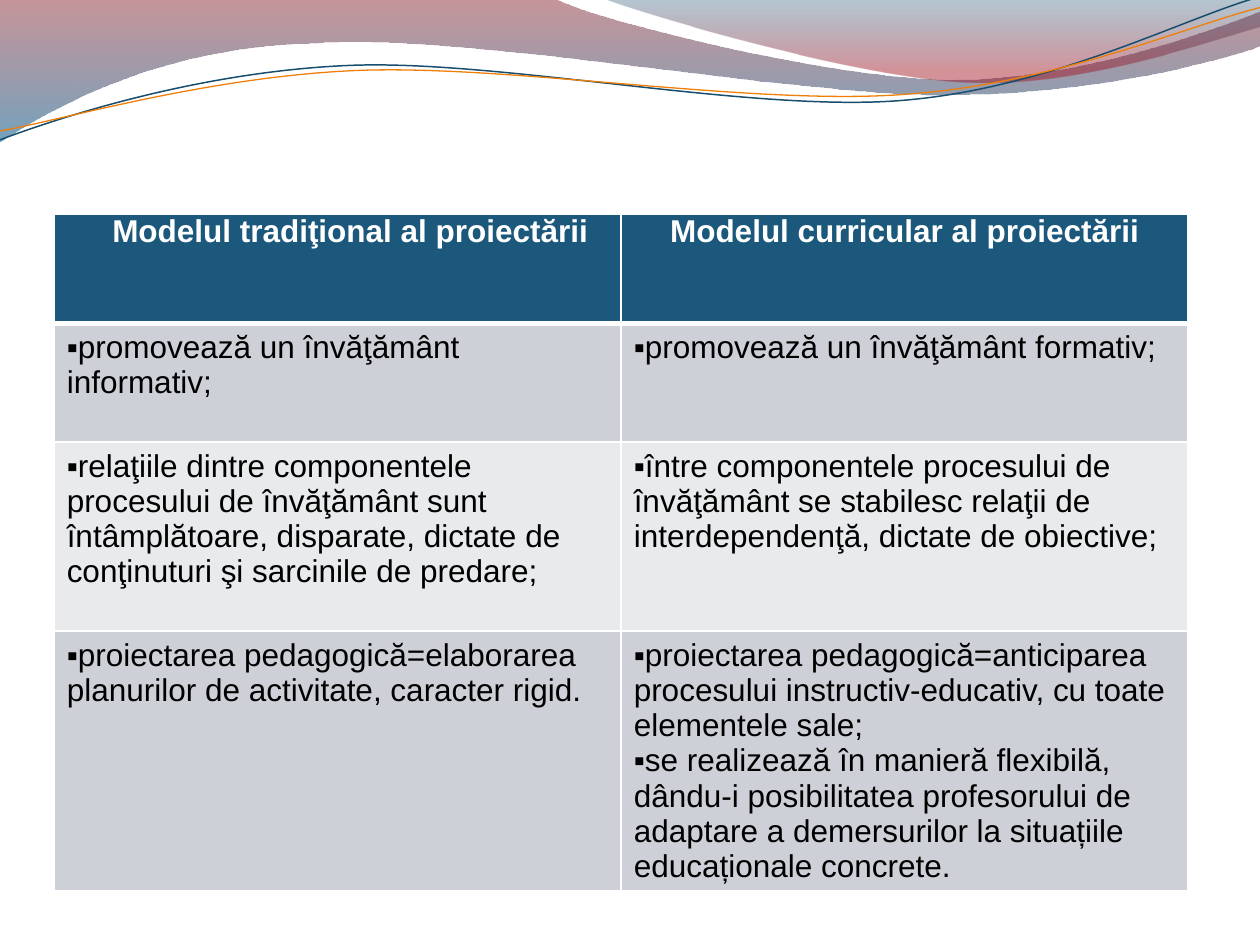
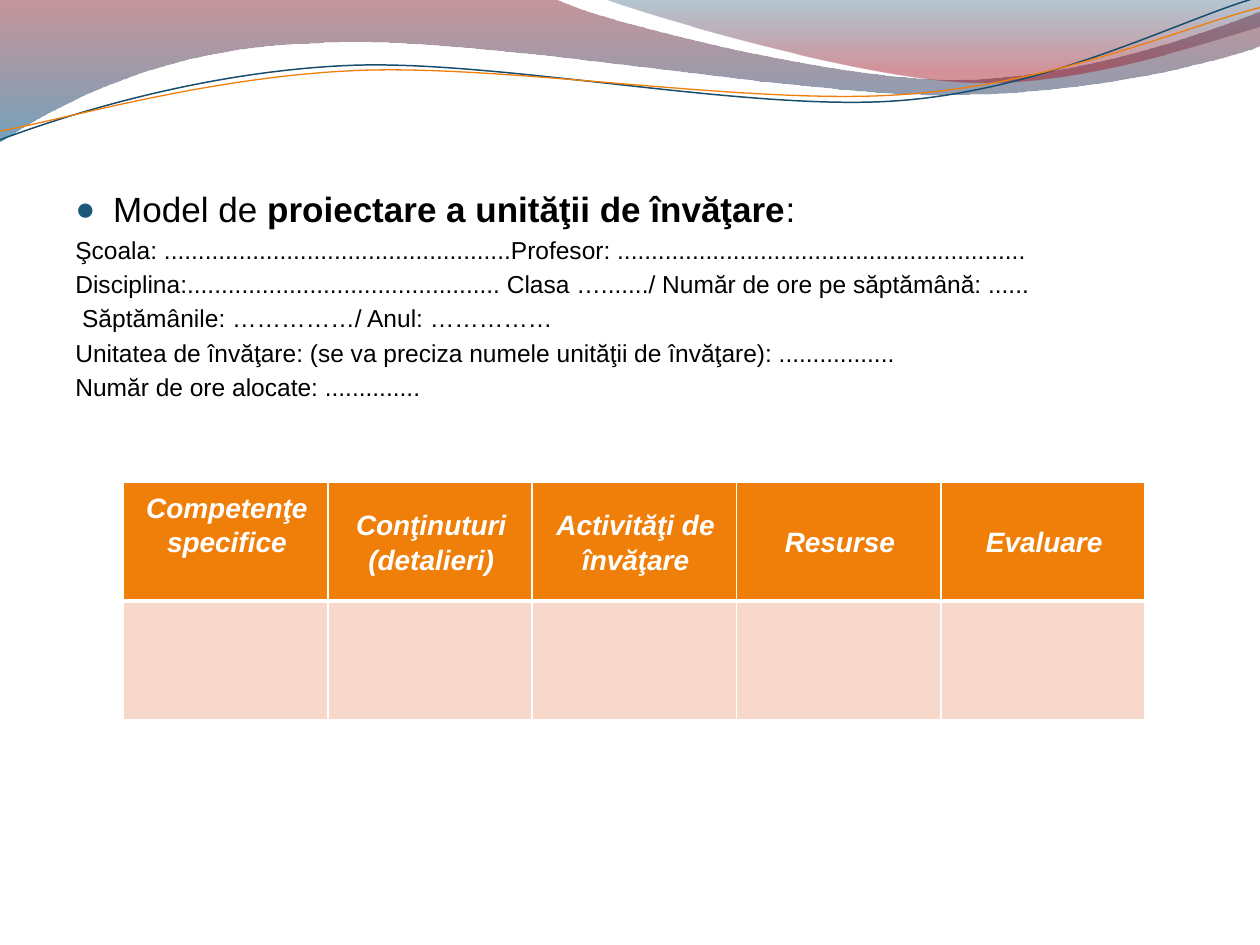
"""Builds two slides on lesson planning under a shared band of waves."""
from dataclasses import dataclass
from typing import Optional

from lxml.etree import SubElement
from pptx import Presentation
from pptx.dml.color import RGBColor
from pptx.enum.text import MSO_ANCHOR as Anchor, PP_ALIGN as Align
from pptx.oxml import parse_xml
from pptx.oxml.ns import nsdecls, qn
from pptx.util import Inches, Pt

Point = tuple[float, float]


@dataclass(frozen=True)
class Theme:
    """Colours, font and type sizes of the deck."""
    font: str = "Arial"
    white: str = "FFFFFF"
    black: str = "000000"
    navy: str = "1B587C"
    wave_navy: str = "184E6D"
    orange: str = "F07F09"
    band_dark: str = "CDD1D7"
    band_light: str = "E8EAEC"
    peach: str = "F9D8CC"
    lead: float = 20
    table: float = 18
    heading: float = 16
    body: float = 14


@dataclass(frozen=True)
class Stop:
    """A gradient stop; position and opacity are percentages."""
    position: int
    color: str
    opacity: int


@dataclass(frozen=True)
class Wave:
    """An outline whose steps hold one point (line) or three (curve)."""
    start: Point
    steps: tuple[tuple[Point, ...], ...]
    stops: tuple[Stop, ...] = ()
    line: Optional[str] = None
    weight: float = 0


@dataclass(frozen=True)
class Grid:
    """Place and sizes of a table, in inches."""
    left: float
    top: float
    width: float
    columns: int
    rows: tuple[float, ...]


@dataclass(frozen=True)
class CellStyle:
    """Look of a table cell; margins run left, top, right, bottom."""
    fill: str
    color: str
    size: float
    bold: bool = False
    italic: bool = False
    align: Align = Align.LEFT
    anchor: Anchor = Anchor.TOP
    margins: tuple[float, ...] = (0.1, 0.05, 0.1, 0.05)
    spacing: float = 1.0
    bullet: Optional[str] = None
    bottom: float = 1


THEME = Theme()

WAVES = (
    Wave((0, 0), (
        ((4.4, -0.01),),
        ((4.76, 0.17), (6.64, 0.63), (7.58, 0.63)),
        ((8.53, 0.63), (9.58, 0.26), (10, 0.09)),
        ((10.01, 0.36),),
        ((9.83, 0.44), (8.7, 0.76), (7.46, 0.75)),
        ((6.22, 0.75), (3.82, 0.28), (2.57, 0.34)),
        ((1.29, 0.36), (0.46, 0.83), (-0.01, 1.13)),
    ), stops=(Stop(0, "7E1621", 45), Stop(100, "005689", 55))),
    Wave((4.79, -0.01), (
        ((5.09, 0.11), (6.82, 0.62), (7.69, 0.65)),
        ((8.56, 0.69), (9.61, 0.32), (10, 0.21)),
        ((10, 0),),
    ), stops=(Stop(0, "094467", 30), Stop(80, "A10F1F", 45))),
    Wave((0, 1.11), (
        ((0.48, 0.93), (1.58, 0.57), (2.77, 0.52)),
        ((3.95, 0.47), (5.93, 0.89), (7.13, 0.8)),
        ((8.33, 0.71), (9.38, 0.15), (9.98, -0.02)),
    ), line=THEME.wave_navy, weight=0.85),
    Wave((0, 1.04), (
        ((0.47, 0.96), (1.64, 0.61), (2.83, 0.56)),
        ((4.03, 0.51), (5.97, 0.84), (7.17, 0.75)),
        ((8.36, 0.67), (9.41, 0.21), (10, 0.06)),
    ), line=THEME.orange, weight=0.75),
)

MODELS = (
    ("Modelul tradiţional al proiectării", "Modelul curricular al proiectării"),
    ("promovează un învăţământ informativ;", "promovează un învăţământ formativ;"),
    ("relaţiile dintre componentele procesului de învăţământ sunt întâmplătoare, "
     "disparate, dictate de conţinuturi şi sarcinile de predare;",
     "între componentele procesului de învăţământ se stabilesc relaţii de "
     "interdependenţă, dictate de obiective;"),
    ("proiectarea pedagogică=elaborarea planurilor de activitate, caracter rigid.",
     "proiectarea pedagogică=anticiparea procesului instructiv-educativ, cu toate "
     "elementele sale;\nse realizează în manieră flexibilă, dându-i posibilitatea "
     "profesorului de adaptare a demersurilor la situațiile educaționale concrete."),
)

LEAD = ("Model de ", "proiectare a unităţii de învăţare", ":")
FORM_LINES = (
    "Şcoala: " + "." * 51 + "Profesor: " + "." * 60,
    "Disciplina:" + "." * 46 + " Clasa …......./ Număr de ore pe săptămână: ......",
    " Săptămânile: ……………/ Anul: ……………",
    "Unitatea de învăţare: (se va preciza numele unităţii de învăţare): " + "." * 17,
    "Număr de ore alocate: " + "." * 14,
)
UNIT_HEADINGS = ("Competenţe specifice", "Conţinuturi\n(detalieri)",
                 "Activităţi de învăţare", "Resurse", "Evaluare")


def bend(shape, wave: Wave) -> None:
    """Turn each three-point step of an outline into one cubic curve."""
    segments = iter(list(shape._element.iter(qn("a:lnTo"))))
    for step in wave.steps:
        first, *others = [next(segments) for _ in step]
        if others:
            first.tag = qn("a:cubicBezTo")
            for segment in others:
                first.append(segment[0])
                segment.getparent().remove(segment)


def add_wave(page, wave: Wave):
    """Draw one wave as a gradient area or as an open line."""
    points = [wave.start] + [point for step in wave.steps for point in step]
    corners = [(Inches(x), Inches(y)) for x, y in points]
    builder = page.shapes.build_freeform(*corners[0])
    builder.add_line_segments(corners[1:], close=False)
    shape = builder.convert_to_shape()
    bend(shape, wave)
    shape.shadow.inherit = False
    shape.fill.background()
    if wave.line:
        shape.line.color.rgb = RGBColor.from_string(wave.line)
        shape.line.width = Pt(wave.weight)
        return shape
    outline = next(shape._element.iter(qn("a:path")))
    SubElement(outline, qn("a:close"))
    shape.line.fill.background()
    stops = "".join(
        f'<a:gs pos="{stop.position * 1000}"><a:srgbClr val="{stop.color}">'
        f'<a:alpha val="{stop.opacity * 1000}"/></a:srgbClr></a:gs>' for stop in wave.stops)
    gradient = parse_xml(f'<a:gradFill {nsdecls("a")} rotWithShape="1"><a:gsLst>{stops}'
                         '</a:gsLst><a:lin ang="5400000" scaled="0"/></a:gradFill>')
    properties = shape._element.spPr
    properties.replace(properties.find(qn("a:noFill")), gradient)
    return shape


def add_page(deck):
    """Add a blank slide."""
    return deck.slides.add_slide(deck.slide_layouts[6])


def share_waves(page) -> None:
    """Draw the waves and hand them to the layout of the page."""
    for wave in WAVES:
        shape = add_wave(page, wave)
        page.slide_layout.shapes._spTree.append(shape._element)


def format_span(span, size: float, color: str, bold: bool = False,
                italic: bool = False) -> None:
    """Set the font of a run."""
    font = span.font
    font.name, font.size = THEME.font, Pt(size)
    font.bold, font.italic = bold, italic
    font.color.rgb = RGBColor.from_string(color)


def set_indent(para, left: float, first: float = 0) -> None:
    """Set the left margin and first-line indent of a paragraph."""
    properties = para._p.get_or_add_pPr()
    properties.set("marL", str(Inches(left)))
    properties.set("indent", str(Inches(first)))


def set_bullet(para, mark: str, color: Optional[str] = None, percent: int = 100) -> None:
    """Give a paragraph a bullet."""
    properties = para._p.get_or_add_pPr()
    if color:
        SubElement(SubElement(properties, qn("a:buClr")), qn("a:srgbClr")).set("val", color)
    SubElement(properties, qn("a:buSzPct")).set("val", str(percent * 1000))
    SubElement(properties, qn("a:buFont")).set("typeface", THEME.font)
    SubElement(properties, qn("a:buChar")).set("char", mark)


def set_borders(cell, bottom: float) -> None:
    """Draw white cell borders, the lower one at its own width."""
    properties = cell._tc.get_or_add_tcPr()
    for side, width in (("L", 1), ("R", 1), ("T", 1), ("B", bottom)):
        properties.append(parse_xml(
            f'<a:ln{side} {nsdecls("a")} w="{Pt(width)}"><a:solidFill>'
            f'<a:srgbClr val="{THEME.white}"/></a:solidFill></a:ln{side}>'))


def fill_cell(cell, text: str, style: CellStyle) -> None:
    """Write and format one table cell."""
    set_borders(cell, style.bottom)
    cell.fill.solid()
    cell.fill.fore_color.rgb = RGBColor.from_string(style.fill)
    cell.vertical_anchor = style.anchor
    (cell.margin_left, cell.margin_top, cell.margin_right,
     cell.margin_bottom) = map(Inches, style.margins)
    cell.text_frame.text = text
    for para in cell.text_frame.paragraphs:
        para.alignment, para.line_spacing = style.align, style.spacing
        if style.bullet:
            set_indent(para, 0)
            set_bullet(para, style.bullet)
        for span in para.runs:
            format_span(span, style.size, style.color, style.bold, style.italic)


def add_grid(page, grid: Grid, texts, styles: tuple[CellStyle, ...]):
    """Add a table with equal columns and one style for each row."""
    table = page.shapes.add_table(
        len(grid.rows), grid.columns, Inches(grid.left), Inches(grid.top),
        Inches(grid.width), Inches(sum(grid.rows))).table
    table.first_row = table.horz_banding = False
    for row, height, words, style in zip(table.rows, grid.rows, texts, styles):
        row.height = Inches(height)
        for cell, text in zip(row.cells, words):
            fill_cell(cell, text, style)
    return table


def fill_models_page(page) -> None:
    """Compare the traditional and the curricular model."""
    header = CellStyle(THEME.navy, THEME.white, THEME.table, bold=True, align=Align.CENTER,
                       margins=(0.07, 0, 0.07, 0), bottom=3)
    dark, light = (CellStyle(fill, THEME.black, THEME.table, bullet="▪")
                   for fill in (THEME.band_dark, THEME.band_light))
    table = add_grid(page, Grid(0.43, 1.7, 9, 2, (0.87, 0.94, 1.5, 2.06)),
                     MODELS, (header, dark, light, dark))
    set_indent(table.cell(0, 0).text_frame.paragraphs[0], 0.2)


def add_form(page) -> None:
    """Add the lead line and the lines to be filled in."""
    frame = page.shapes.add_textbox(Inches(0.5), Inches(1.44), Inches(9), Inches(2)).text_frame
    frame.word_wrap = True
    frame.text = "\n".join(("", *FORM_LINES))
    lead, *lines = frame.paragraphs
    for para in frame.paragraphs:
        set_indent(para, 0.3, -0.3)
        before = SubElement(para._p.get_or_add_pPr(), qn("a:spcBef"))
        SubElement(before, qn("a:spcPct")).set("val", "20000")
    set_bullet(lead, "●", THEME.navy, 95)
    for index, text in enumerate(LEAD):
        span = lead.add_run()
        span.text = text
        format_span(span, THEME.lead, THEME.black, bold=index == 1)
    for para in lines:
        format_span(para.runs[0], THEME.body, THEME.black)


def fill_unit_page(page) -> None:
    """Show the form for planning a learning unit."""
    add_form(page)
    header = CellStyle(THEME.orange, THEME.white, THEME.heading, bold=True, italic=True,
                       align=Align.CENTER, anchor=Anchor.MIDDLE,
                       margins=(0.06, 0.04, 0.04, 0.04), spacing=1.1, bottom=3)
    blank = CellStyle(THEME.peach, THEME.black, THEME.heading)
    table = add_grid(page, Grid(0.98, 3.83, 8.11, 5, (0.94, 0.94)),
                     (UNIT_HEADINGS, ("",) * 5), (header, blank))
    first = table.cell(0, 0)
    first.vertical_anchor, first.margin_top = Anchor.TOP, Inches(0.06)


def main() -> None:
    """Build and save the deck."""
    deck = Presentation()
    deck.slide_width, deck.slide_height = Inches(10), Inches(7.5)
    models_page, unit_page = add_page(deck), add_page(deck)
    share_waves(models_page)
    fill_models_page(models_page)
    fill_unit_page(unit_page)
    deck.save("out.pptx")


main()
